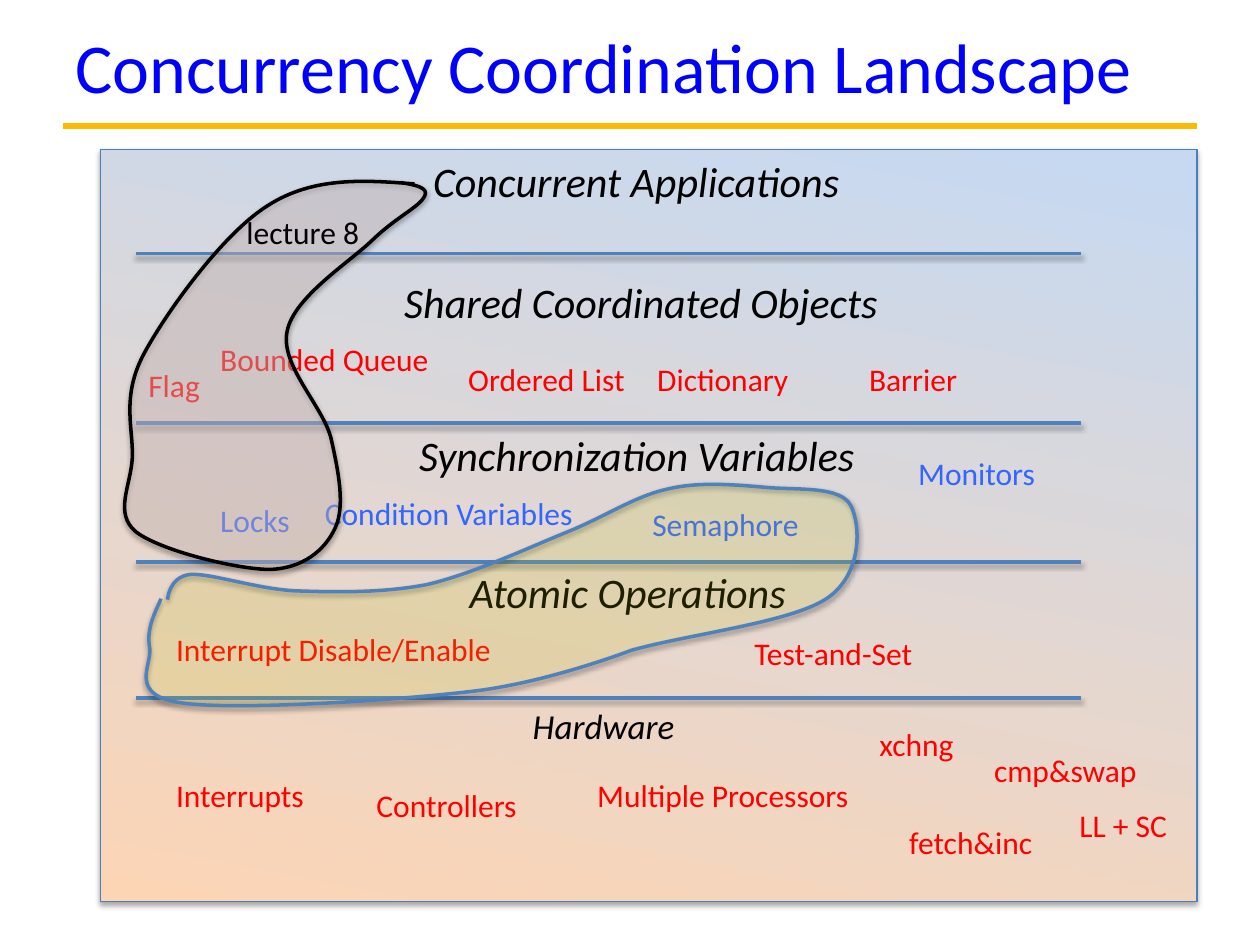
from lxml.etree import SubElement
from pptx import Presentation
from pptx.dml.color import RGBColor
from pptx.enum.shapes import MSO_CONNECTOR, MSO_SHAPE
from pptx.enum.text import MSO_ANCHOR, MSO_AUTO_SIZE
from pptx.oxml.ns import qn
from pptx.util import Cm, Pt

COLORS = {
    "title": "0000FF", "rule": "FBBA03", "black": "000000",
    "red": "FF0000", "blue": "3366FF", "divider": "4F81BD",
    "panel_top": "C6D9F1", "panel_bottom": "FCD5B5", "panel_edge": "4B7EBC",
    "lecture": "F2DCDB", "semaphore": "FFFF00",
}

# Layer headings: text, left, top, width, size
HEADINGS = [
    ("Concurrent Applications", 8.48, 3.02, 8.99, 24),
    ("Shared Coordinated Objects", 7.9, 5.44, 10.36, 24),
    ("Synchronization Variables", 8.2, 8.53, 9.65, 24),
    ("Atomic Operations", 9.22, 11.3, 7.19, 24),
    ("Hardware", 10.49, 14.07, 3.56, 20),
]
DIVIDER_TOPS = [5.11, 8.53, 11.33, 14.07]

# Shared objects, all in boxes of one width: text, left, top
OBJECT_WIDTH = 4.85
OBJECTS = [
    ("Bounded Queue", 4.19, 6.73), ("Ordered List", 9.19, 7.14),
    ("Dictionary", 13, 7.14), ("Barrier", 17.27, 7.14), ("Flag", 2.74, 7.26),
]

# Other terms: text, left, top, width, color
TERMS = [
    ("Locks", 4.19, 9.98, 1.93, "blue"),
    ("Semaphore", 12.9, 10.06, 3.51, "blue"),
    ("Condition Variables", 6.3, 9.83, 5.61, "blue"),
    ("Monitors", 18.26, 9.02, 2.92, "blue"),
    ("Interrupt Disable/Enable", 3.3, 12.57, 7.16, "red"),
    ("Test-and-Set", 14.96, 12.65, 3.84, "red"),
    ("Interrupts", 3.3, 15.52, 3.12, "red"),
    ("Controllers", 7.34, 15.72, 3.4, "red"),
    ("Multiple Processors", 11.79, 15.52, 5.64, "red"),
    ("cmp&swap", 19.79, 15.01, 3.43, "red"),
    ("xchng", 17.48, 14.5, 2.03, "red"),
    ("fetch&inc", 18.08, 16.46, 3.05, "red"),
    ("LL + SC", 21.51, 16.13, 2.34, "red"),
]

# Blob outlines: box, start point, then curves of two handles and an end point
LECTURE_BOX = (2.51, 3.66, 6.07, 7.82)
LECTURE_START = (8.36, 3.71)
LECTURE_CURVES = [
    ((7.34, 3.63), (6.32, 3.56), (5.41, 4.14)),
    ((4.5, 4.7), (3.35, 6.3), (2.9, 7.14)),
    ((2.44, 8), (2.69, 8.64), (2.67, 9.22)),
    ((2.64, 9.8), (2.29, 10.34), (2.74, 10.72)),
    ((3.23, 11.1), (4.78, 11.48), (5.44, 11.48)),
    ((6.1, 11.46), (6.55, 11.1), (6.76, 10.64)),
    ((6.96, 10.21), (6.83, 9.53), (6.68, 8.86)),
    ((6.53, 8.2), (5.64, 7.37), (5.79, 6.68)),
    ((5.92, 5.99), (7.06, 5.28), (7.52, 4.83)),
    ((8, 4.37), (8.46, 4.17), (8.56, 3.96)),
    ((8.66, 3.78), (8.36, 3.73), (8.08, 3.68)),
]
SEMAPHORE_BOX = (2.95, 9.75, 14.33, 4.47)
SEMAPHORE_START = (3.25, 12.07)
SEMAPHORE_CURVES = [
    ((3.1, 12.4), (2.95, 12.7), (3.02, 13.06)),
    ((3.07, 13.41), (2.57, 14.02), (3.66, 14.17)),
    ((4.72, 14.33), (8, 14.12), (9.5, 13.94)),
    ((11.02, 13.77), (12.73, 13.11), (12.73, 13.11)),
    ((13.92, 12.78), (15.93, 12.55), (16.66, 12.07)),
    ((17.4, 11.58), (17.35, 10.57), (17.15, 10.19)),
    ((16.94, 9.8), (16.1, 9.88), (15.49, 9.83)),
    ((14.88, 9.78), (14.12, 9.7), (13.46, 9.86)),
    ((12.78, 10.01), (12.22, 10.41), (11.4, 10.74)),
    ((10.59, 11.07), (9.5, 11.58), (8.59, 11.79)),
    ((7.67, 11.96), (6.73, 11.94), (5.92, 11.91)),
    ((5.13, 11.86), (4.27, 11.56), (3.84, 11.58)),
    ((3.4, 11.63), (3.38, 12.09), (3.38, 12.09)),
]


def rgb(name):
    return RGBColor.from_string(COLORS[name])


def set_line(shape, color, width):
    shape.line.color.rgb = rgb(color)
    shape.line.width = Pt(width)


def set_shadow(shape, opacity=38, distance=1.6):
    """Soft shadow straight down; an opacity of 0 leaves no shadow."""
    effects = SubElement(shape._element.spPr, qn("a:effectLst"))
    if opacity:
        shadow = SubElement(effects, qn("a:outerShdw"), blurRad=str(Pt(3.1)),
                            dist=str(Pt(distance)), dir="5400000", rotWithShape="0")
        color = SubElement(shadow, qn("a:srgbClr"), val=COLORS["black"])
        SubElement(color, qn("a:alpha"), val=str(opacity * 1000))


def add_text(shapes, text, left, top, width, height=1.02, size=18, color="black",
             italic=False, wrap=False, anchor=MSO_ANCHOR.TOP, grow=True):
    box = shapes.add_textbox(Cm(left), Cm(top), Cm(width), Cm(height))
    frame = box.text_frame
    frame.word_wrap = wrap
    frame.auto_size = MSO_AUTO_SIZE.SHAPE_TO_FIT_TEXT if grow else MSO_AUTO_SIZE.NONE
    frame.vertical_anchor = anchor
    run = frame.paragraphs[0].add_run()
    run.text = text
    run.font.name = "Calibri"
    run.font.size = Pt(size)
    run.font.italic = italic
    run.font.color.rgb = rgb(color)


def add_rule(shapes, left, right, top, color, width, opacity):
    rule = shapes.add_connector(MSO_CONNECTOR.STRAIGHT, Cm(left), Cm(top), Cm(right), Cm(top))
    set_line(rule, color, width)
    set_shadow(rule, opacity)


def add_panel(shapes):
    panel = shapes.add_shape(MSO_SHAPE.RECTANGLE, Cm(2.03), Cm(3.02), Cm(22.1), Cm(15.16))
    panel.fill.gradient()
    panel.fill.gradient_angle = 259
    stops = zip(panel.fill.gradient_stops, (0.02, 1), ("panel_top", "panel_bottom"))
    for stop, position, color in stops:
        stop.position = position
        stop.color.rgb = rgb(color)
    set_line(panel, "panel_edge", 0.75)
    set_shadow(panel, opacity=35, distance=1.8)


def add_blob(shapes, box, start, curves, fill, opacity, line):
    left, top, width, height = box
    builder = shapes.build_freeform(Cm(left), Cm(top))
    builder.add_line_segments([(Cm(left + width), Cm(top + height))], close=False)
    blob = builder.convert_to_shape()

    # Curved outline inside the box
    outline = next(blob._element.iter(qn("a:path")))
    for step in list(outline):
        outline.remove(step)
    for tag, points in [("a:moveTo", [start])] + [("a:cubicBezTo", c) for c in curves]:
        step = SubElement(outline, qn(tag))
        for x, y in points:
            SubElement(step, qn("a:pt"), x=str(Cm(x - left)), y=str(Cm(y - top)))

    blob.fill.solid()
    blob.fill.fore_color.rgb = rgb(fill)
    color = blob._element.spPr.find(qn("a:solidFill"))[0]
    SubElement(color, qn("a:alpha"), val=str(opacity * 1000))
    set_line(blob, line, 2)
    set_shadow(blob)


def main():
    presentation = Presentation()
    presentation.slide_width, presentation.slide_height = Cm(25.4), Cm(19.05)
    shapes = presentation.slides.add_slide(presentation.slide_layouts[6]).shapes

    # Title and background panel
    add_rule(shapes, 1.27, 24.13, 2.54, "rule", 3.75, opacity=0)
    add_panel(shapes)
    add_text(shapes, "Concurrency Coordination Landscape", 1.27, 0.1, 22.86, 2.44, size=40,
             color="title", wrap=True, anchor=MSO_ANCHOR.MIDDLE, grow=False)

    # Layers
    for text, left, top, width, size in HEADINGS:
        add_text(shapes, text, left, top, width, 1.27 if size == 24 else 1.12,
                 size=size, italic=True)
    for top in DIVIDER_TOPS:
        add_rule(shapes, 2.74, 21.79, top, "divider", 2, opacity=38)

    # Terms in the layers
    for text, left, top in OBJECTS:
        add_text(shapes, text, left, top, OBJECT_WIDTH, color="red", wrap=True)
    for text, left, top, width, color in TERMS:
        add_text(shapes, text, left, top, width, color=color)

    # Highlighted regions
    lecture = shapes.add_group_shape().shapes
    add_blob(lecture, LECTURE_BOX, LECTURE_START, LECTURE_CURVES, "lecture", 35, "black")
    add_text(lecture, "lecture 8", 4.72, 4.17, 2.82)
    add_blob(shapes, SEMAPHORE_BOX, SEMAPHORE_START, SEMAPHORE_CURVES,
             "semaphore", 12, "divider")

    presentation.save("out.pptx")


main()
